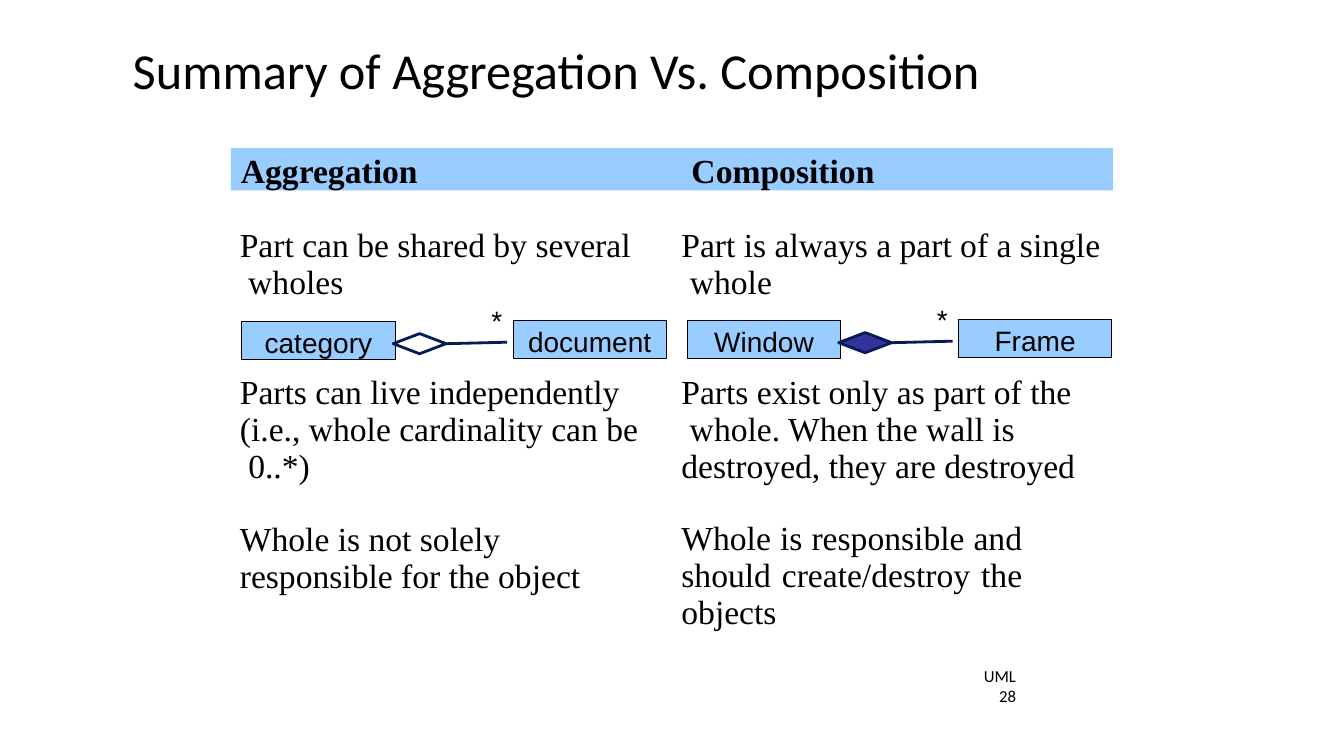
import pptx
import pptx.util
import pptx.dml.color
import pptx.enum.shapes
import pptx.enum.text
import lxml.etree

SHAPES = pptx.enum.shapes.MSO_SHAPE
ALIGN = pptx.enum.text.PP_ALIGN
ANCHOR = pptx.enum.text.MSO_ANCHOR
DRAWING = "{http://schemas.openxmlformats.org/drawingml/2006/main}"
COLUMNS, ROWS = 160, 90


def color(value):
    return pptx.dml.color.RGBColor.from_string(value)


class UmlSlide:
    ink, pale, accent, stroke = "000000", "99CCFF", "333399", "071C57"

    def __init__(self, deck):
        self.column = deck.slide_width / COLUMNS
        self.row = deck.slide_height / ROWS
        self.page = deck.slides.add_slide(deck.slide_layouts[6])

    def across(self, count):
        return round(count * self.column)

    def down(self, count):
        return round(count * self.row)

    def frame(self, left, top, width, height):
        return self.across(left), self.down(top), self.across(width), self.down(height)

    def fill_text(self, box, text, size, font, align=ALIGN.LEFT, anchor=ANCHOR.TOP,
                  inset=0.12, top=0.12, before=1, spacing=None, bold=False):
        frame = box.text_frame
        frame.word_wrap = True
        frame.vertical_anchor = anchor
        frame.margin_left = self.across(inset)
        frame.margin_right = frame.margin_bottom = 0
        frame.margin_top = self.down(top)
        para = frame.paragraphs[0]
        para.text = text
        para.alignment = align
        para.space_before = pptx.util.Pt(before)
        para.line_spacing = spacing
        for span in para.runs:
            span.font.size = pptx.util.Pt(size)
            span.font.name = font
            span.font.bold = bold
            span.font.color.rgb = color(self.ink)
        return para

    def text(self, place, text, size, font, **style):
        box = self.page.shapes.add_textbox(*self.frame(*place))
        return self.fill_text(box, text, size, font, **style)

    def shape(self, kind, place, fill=None, line=None, weight=0.75):
        box = self.page.shapes.add_shape(kind, *self.frame(*place))
        box.shadow.inherit = False
        if fill:
            box.fill.solid()
            box.fill.fore_color.rgb = color(fill)
        else:
            box.fill.background()
        if line:
            box.line.color.rgb = color(line)
            box.line.width = pptx.util.Pt(weight)
        else:
            box.line.fill.background()
        return box

    def header(self, place, text, tab):
        bar = self.shape(SHAPES.RECTANGLE, place, self.pale)
        para = self.fill_text(bar, text, 24, "Times New Roman", inset=1.2, top=0.24, bold=True)
        stops = lxml.etree.SubElement(para._p.get_or_add_pPr(), DRAWING + "tabLst")
        lxml.etree.SubElement(stops, DRAWING + "tab", pos=str(self.across(tab)), algn="l")

    def class_box(self, left, top, name):
        box = self.shape(SHAPES.RECTANGLE, (left, top, 18.24, 4.56), self.pale, self.ink)
        self.fill_text(box, name, 20, "Arial", align=ALIGN.CENTER, inset=0, top=0.48, before=3.2)

    def relation(self, left, top, whole, part, fill):
        self.class_box(left, top, whole)
        self.class_box(left + 32.28, top - 0.18, part)
        diamond = self.shape(SHAPES.DIAMOND, (left + 18, top + 1.44, 6.3, 2.4),
                             fill, self.stroke, 2)
        link = self.page.shapes.add_connector(
            pptx.enum.shapes.MSO_CONNECTOR.STRAIGHT,
            self.across(left + 24.3), self.down(top + 2.64),
            self.across(left + 31.56), self.down(top + 2.46))
        link.begin_connect(diamond, 3)
        link.line.color.rgb = color(self.stroke)
        link.line.width = pptx.util.Pt(2)
        lxml.etree.SubElement(link._element.spPr, DRAWING + "effectLst")
        self.text((left + 29.58, top - 2.28, 1.7, 4.32), "*", 20, "Arial")

    def statement(self, place, text, spacing, before, align=ALIGN.LEFT):
        self.text(place, text, 24, "Times New Roman", align=align, top=0.6,
                  spacing=spacing, before=before)


def main():
    deck = pptx.Presentation()
    deck.slide_width = pptx.util.Inches(13.33)
    deck.slide_height = pptx.util.Inches(7.5)
    slide = UmlSlide(deck)

    slide.text((11.04, 4.44, 110.28, 7.44), "Summary of Aggregation Vs. Composition",
               36, "Calibri", align=ALIGN.CENTER, anchor=ANCHOR.MIDDLE)
    slide.text((114.96, 79.08, 6, 5.04), "UML 28", 12, "Calibri",
               align=ALIGN.RIGHT, anchor=ANCHOR.MIDDLE)
    slide.header((27.48, 17.64, 105, 5.04), "Aggregation\tComposition", 53.64)

    exact = pptx.util.Pt(26.5)
    left, right = 28.44, 81
    sharing, lifetime, duty = 26.4, 44.04, 61.44
    statements = [
        (left, sharing, 47, 9.72, "Part can be shared by several\v wholes", exact, 3.8),
        (right, sharing, 50.4, 9.72, "Part is always a part of a single\v whole", exact, 3.8),
        (left, lifetime, 48, 13.92,
         "Parts can live independently (i.e., whole cardinality can be\v 0..*)", 0.92, 3.2),
        (right, lifetime, 47.4, 13.92,
         "Parts exist only as part of the\v whole. When the wall is "
         "destroyed, they are destroyed", 0.92, 3.2),
        (left, duty, 41, 9.72, "Whole is not solely\vresponsible for the object", exact, 3.7),
        (right, duty, 40.7, 13.92,
         "Whole is responsible and should create/destroy the objects", 0.92, 3.2,
         ALIGN.JUSTIFY),
    ]
    for column, row, width, height, *content in statements:
        slide.statement((column, row, width, height), *content)

    slide.relation(28.8, 38.28, "category", "document", None)
    slide.relation(81.84, 38.16, "Window", "Frame", slide.accent)

    deck.save("out.pptx")


if __name__ == "__main__":
    main()
